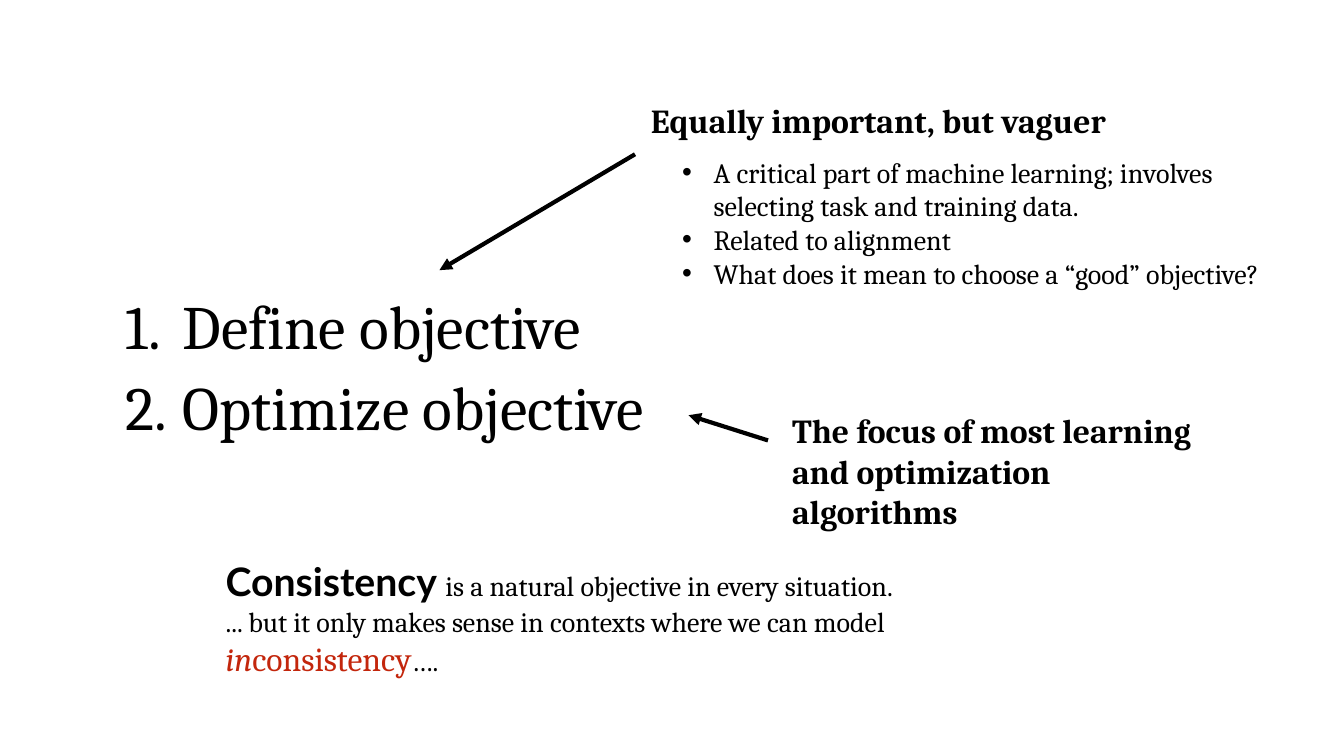
from lxml import etree
from pptx import Presentation
from pptx.dml.color import RGBColor
from pptx.enum.shapes import MSO_CONNECTOR
from pptx.oxml.ns import qn
from pptx.util import Pt

STRAIGHT = MSO_CONNECTOR.STRAIGHT

# Content
STEPS = ["Define objective", "Optimize objective"]
VAGUE = "Equally important, but vaguer"
POINTS = [
    "A critical part of machine learning; involves selecting task and training data.",
    "Related to alignment",
    "What does it mean to choose a “good” objective?",
]
FOCUS = "The focus of most learning and optimization algorithms"

THEME = {
    "serif": "Cambria", "sans": "Lato",
    "ink": RGBColor.from_string("000000"),
    "red": RGBColor.from_string("C3260C"),
    "step": 44, "term": 28, "head": 24, "body": 20, "line": 3,
}

# Each run: text, then what differs from the box format
CLOSING = [
    ("Consistency ", {"size": "term", "face": "sans", "bold": True}),
    ("is a natural objective in every situation.\v"
     "... but it only makes sense in contexts where we can model ", {}),
    ("in", {"size": "head", "color": "red", "italic": True}),
    ("consistency", {"size": "head", "color": "red"}),
    ("….", {}),
]

# Places in points: left, top, width, height
STEP_BOX = (82.8, 208.1, 447.1, 136.1)
POINT_BOX = (480.2, 107.3, 465.8, 104.4)
FOCUS_BOX = (558.7, 289.4, 308.2, 65.5)
VAGUE_BOX = (457.9, 67.7, 349.2, 36)
CLOSE_BOX = (154.1, 394.6, 589, 94.3)
# Start x, start y, end x, end y
ARROWS = [(453.6, 110.2, 313.9, 193), (548.6, 314.6, 491.8, 296.6)]


def style(font, size="body", face="serif", color="ink", bold=False, italic=False):
    font.name = THEME[face]
    font.size = Pt(THEME[size])
    font.color.rgb = THEME[color]
    font.bold, font.italic = bold, italic


def add_mark(para, indent, tag, **attrs):
    props = para._p.get_or_add_pPr()
    props.set("marL", str(Pt(indent)))
    props.set("indent", str(-Pt(indent)))
    if tag == "buChar":
        etree.SubElement(props, qn("a:buFont")).set("typeface", "Arial")
    etree.SubElement(props, qn("a:" + tag), attrs)


def add_text(slide, place, paras, mark=None, lead=None, gap=0, **form):
    """Each paragraph is a string or a list of (text, format) runs."""
    box = slide.shapes.add_textbox(*map(Pt, place))
    frame = box.text_frame
    frame.word_wrap = True
    for i, runs in enumerate(paras):
        para = frame.paragraphs[0] if i == 0 else frame.add_paragraph()
        if mark:
            indent, tag, attrs = mark
            add_mark(para, indent, tag, **attrs)
        if lead:
            para.line_spacing = lead
        if gap and i:
            para.space_before = Pt(gap)
        style(para.font, **form)
        for text, diff in [(runs, {})] if isinstance(runs, str) else runs:
            for n, part in enumerate(text.split("\v")):
                if n:
                    para.add_line_break()
                run = para.add_run()
                run.text = part
                style(run.font, **{**form, **diff})


def add_arrow(slide, ends):
    arrow = slide.shapes.add_connector(STRAIGHT, *map(Pt, ends))
    arrow.line.color.rgb = THEME["ink"]
    arrow.line.width = Pt(THEME["line"])
    etree.SubElement(arrow.line._get_or_add_ln(), qn("a:tailEnd"), type="triangle")
    etree.SubElement(arrow._element.spPr, qn("a:effectLst"))


def main():
    deck = Presentation()
    deck.slide_width, deck.slide_height = Pt(960), Pt(540)
    slide = deck.slides.add_slide(deck.slide_layouts[6])

    # Numbered steps and their notes
    add_text(slide, STEP_BOX, STEPS, size="step", lead=0.9, gap=10,
             mark=(40.5, "buAutoNum", {"type": "arabicPeriod"}))
    add_text(slide, POINT_BOX, POINTS, mark=(22.5, "buChar", {"char": "•"}))
    add_text(slide, FOCUS_BOX, [FOCUS], size="head", bold=True)
    add_text(slide, VAGUE_BOX, [VAGUE], size="head", bold=True)

    # Arrows from notes to steps
    for ends in ARROWS:
        add_arrow(slide, ends)

    # Closing remark
    add_text(slide, CLOSE_BOX, [CLOSING])
    deck.save("out.pptx")


if __name__ == "__main__":
    main()
